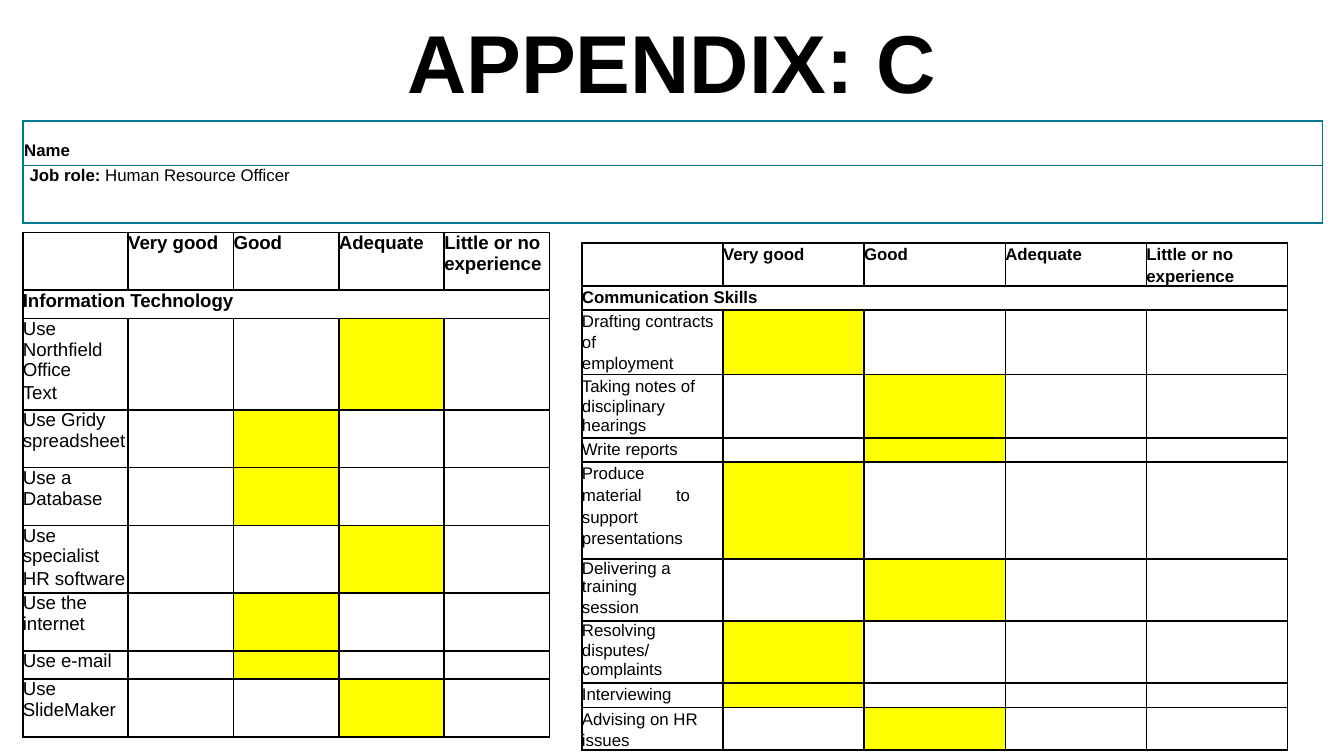
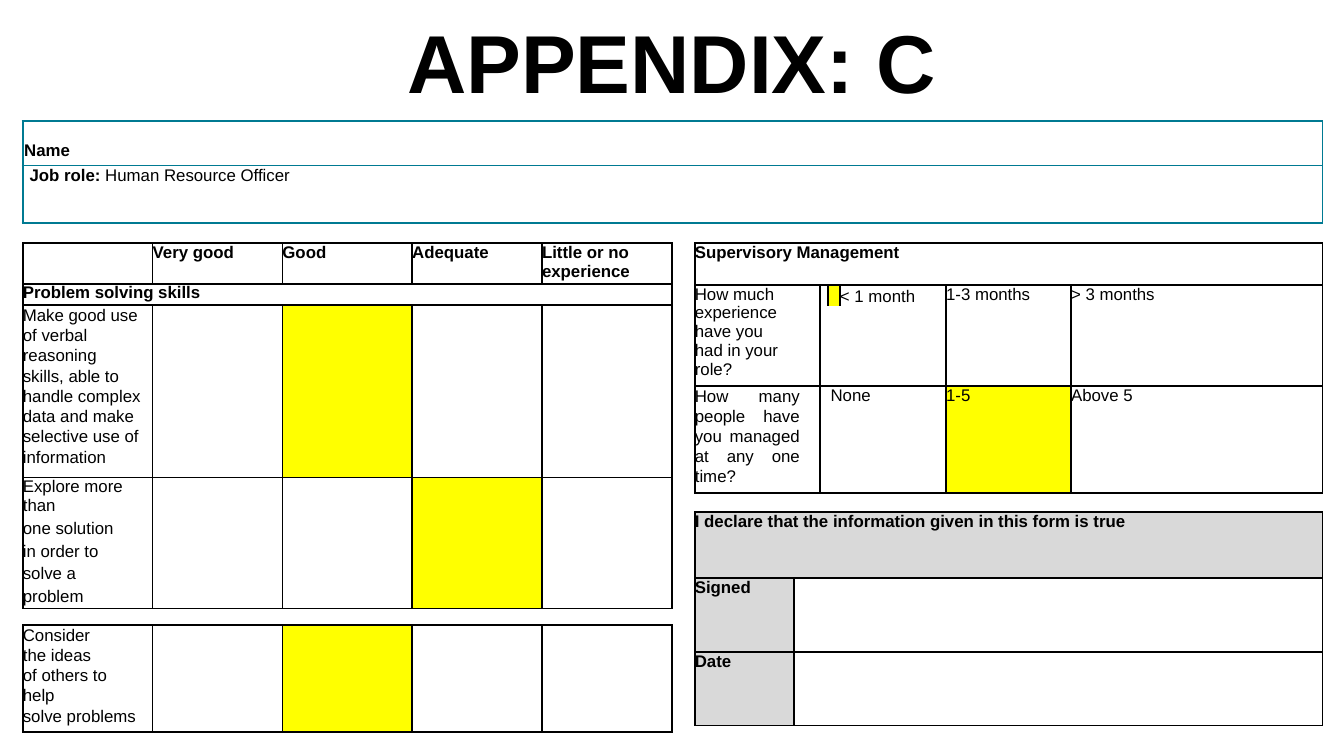
from dataclasses import dataclass

from lxml import etree
from pptx import Presentation
from pptx.dml.color import RGBColor
from pptx.enum.text import MSO_ANCHOR, PP_ALIGN
from pptx.oxml.ns import qn
from pptx.slide import Slide
from pptx.util import Inches, Length, Pt

CENTER, JUSTIFY = PP_ALIGN.CENTER, PP_ALIGN.JUSTIFY
MIDDLE = MSO_ANCHOR.MIDDLE
FONT = "Arial"
COLORS = {"ink": "000000", "teal": "007A92", "rating": "FFFF00", "label": "D9D9D9"}
NO_TABLE_STYLE = "{2D5ABB26-0587-4C30-8999-92F81FD0307C}"
RATINGS = ("Very good", "Good", "Adequate", "Little or no experience")
VERY_GOOD, GOOD, ADEQUATE = range(1, 4)
LEFT = 0.17
RIGHT_COLUMN = 5.17
RIGHT_WIDTH = 4.67
FORM_TOP = 1.81
SNUG = Pt(11.4)
TIGHT = Pt(11.3)


@dataclass(frozen=True)
class Para:
    text: str
    bold: bool = False
    regular_tail: str = ""
    line: float | Length | None = None
    before: float = 0
    align: PP_ALIGN | None = None
    indent: float = 0
    right: float = 0
    tabs: tuple[float, ...] = ()


@dataclass(frozen=True)
class Cell:
    paras: tuple[Para, ...] = ()
    fill: str = ""
    span: tuple[int, int] = (1, 1)
    sides: str = "LRTB"
    top_margin: float = 0


@dataclass(frozen=True)
class Grid:
    left: float
    top: float
    height: float
    cols: list[float]
    rows: list[float]
    cells: list[list[Cell | None]]
    size: float = 9
    line_color: str = "ink"
    left_line: float = 1


@dataclass(frozen=True)
class Skill:
    rating: int
    height: float
    label: tuple[Para, ...]


def write_run(paragraph, text: str, size: float, bold: bool) -> None:
    run = paragraph.add_run()
    run.text = text
    for name, value in {"name": FONT, "size": Pt(size), "bold": bold}.items():
        setattr(run.font, name, value)
    run.font.color.rgb = RGBColor.from_string(COLORS["ink"])


def write_paragraph(paragraph, para: Para, size: float) -> None:
    formats = {
        "alignment": para.align,
        "line_spacing": para.line,
        "space_before": Pt(para.before),
    }
    for name, value in formats.items():
        if value is not None:
            setattr(paragraph, name, value)
    properties = paragraph._p.get_or_add_pPr()
    for name, value in {"marL": para.indent, "marR": para.right}.items():
        properties.set(name, str(Inches(value)))
    if para.tabs:
        stops = etree.SubElement(properties, qn("a:tabLst"))
        for stop in para.tabs:
            etree.SubElement(stops, qn("a:tab"), pos=str(Inches(stop)), algn="l")
    write_run(paragraph, para.text, size, para.bold)
    if para.regular_tail:
        write_run(paragraph, para.regular_tail, size, False)


def draw_borders(cell, sides: str, color: str, left_line: float) -> None:
    properties = cell._tc.get_or_add_tcPr()
    for side in "LRTB":
        width = Pt(left_line if side == "L" else 1)
        line = etree.SubElement(properties, qn(f"a:ln{side}"), w=str(width))
        if side in sides:
            fill = etree.SubElement(line, qn("a:solidFill"))
            etree.SubElement(fill, qn("a:srgbClr"), val=COLORS[color])
        else:
            etree.SubElement(line, qn("a:noFill"))


def fill_cell(cell, content: Cell | None, grid: Grid) -> None:
    """Style one cell; None marks a cell covered by a merge."""
    for side in ("left", "right", "top", "bottom"):
        setattr(cell, f"margin_{side}", 0)
    content = content or Cell(sides="")
    cell.margin_top = Inches(content.top_margin)
    draw_borders(cell, content.sides, grid.line_color, grid.left_line)
    if content.fill:
        cell.fill.solid()
        cell.fill.fore_color.rgb = RGBColor.from_string(COLORS[content.fill])
    else:
        cell.fill.background()
    frame = cell.text_frame
    if not content.paras:
        etree.SubElement(frame.paragraphs[0]._p, qn("a:endParaRPr"), sz="600")
    for index, para in enumerate(content.paras):
        paragraph = frame.add_paragraph() if index else frame.paragraphs[0]
        write_paragraph(paragraph, para, grid.size)


def draw_grid(slide: Slide, grid: Grid) -> None:
    holder = slide.shapes.add_table(
        len(grid.rows), len(grid.cols), Inches(grid.left), Inches(grid.top),
        Inches(sum(grid.cols)), Inches(grid.height))
    table = holder.table
    table.first_row = table.horz_banding = False
    table._tbl.tblPr.find(qn("a:tableStyleId")).text = NO_TABLE_STYLE
    for column, width in zip(table.columns, grid.cols):
        column.width = Inches(width)
    for row, height in zip(table.rows, grid.rows):
        row.height = Inches(height)
    holder.height = Inches(grid.height)
    for r, contents in enumerate(grid.cells):
        for c, content in enumerate(contents):
            cell = table.cell(r, c)
            fill_cell(cell, content, grid)
            if content and content.span != (1, 1):
                down, across = content.span
                cell.merge(table.cell(r + down - 1, c + across - 1))


def bold_cell(text: str, line: Length | None = None, **options) -> Cell:
    return Cell((Para(text, bold=True, line=line),), **options)


def text_cell(text: str, span: tuple[int, int] = (1, 1), fill: str = "",
              sides: str = "LRTB", **options) -> Cell:
    return Cell((Para(text, **options),), fill, span, sides)


def rating_rows(skills: list[Skill]) -> list[list[Cell | None]]:
    return [[Cell(skill.label)] + [Cell(fill="rating" if skill.rating == column else "")
                                   for column in range(1, len(RATINGS) + 1)]
            for skill in skills]


def heading_rows(heading: str, line: Length | None = None) -> list[list[Cell | None]]:
    """The row of rating names and the merged row that names the skill group."""
    ratings = [Cell()] + [bold_cell(rating, line) for rating in RATINGS]
    covered = [None] * len(RATINGS)
    return [ratings, [bold_cell(heading, line, span=(1, len(RATINGS) + 1))] + covered]


def draw_skills(slide: Slide, left: float, top: float, width: float, height: float,
                skills: list[Skill], heading: str = "",
                heading_heights: tuple[float, ...] = (),
                line: Length | None = None, size: float = 9) -> None:
    count = len(RATINGS) + 1
    cells = heading_rows(heading, line) if heading else []
    draw_grid(slide, Grid(left, top, height, [width / count] * count,
                          [*heading_heights, *(skill.height for skill in skills)],
                          cells + rating_rows(skills), size))


def add_form_slide(deck) -> Slide:
    """Add a slide with the title and the name and job role panel."""
    slide = deck.slides.add_slide(deck.slide_layouts[6])
    frame = slide.shapes.add_textbox(
        Inches(0.5), Inches(-0.02), Inches(9), Inches(0.94)).text_frame
    for name, value in {"word_wrap": True, "vertical_anchor": MIDDLE}.items():
        setattr(frame, name, value)
    write_paragraph(frame.paragraphs[0], Para("APPENDIX: C", bold=True, align=CENTER), 44)
    name = Cell((Para("Name", bold=True, indent=0.01),), top_margin=0.15)
    role = Cell((Para("Job role: ", bold=True, regular_tail="Human Resource Officer",
                      line=1.06, indent=0.05),))
    draw_grid(slide, Grid(LEFT, 0.9, 0.76, [9.67], [0.33, 0.43], [[name], [role]],
                          line_color="teal", left_line=1.5))
    return slide


IT_SKILLS = [
    Skill(ADEQUATE, 0.66, (Para("Use Northfield Office"), Para("Text", before=0.8))),
    Skill(GOOD, 0.43, (Para("Use Gridy spreadsheet"),)),
    Skill(GOOD, 0.43, (Para("Use a Database"),)),
    Skill(ADEQUATE, 0.45, (Para("Use specialist"),
                           Para("HR software", line=TIGHT, before=0.9))),
    Skill(GOOD, 0.43, (Para("Use the internet"),)),
    Skill(GOOD, 0.21, (Para("Use e-mail"),)),
    Skill(ADEQUATE, 0.43, (Para("Use SlideMaker"),)),
]
COMMUNICATION_SKILLS = [
    Skill(VERY_GOOD, 0.44, (Para("Drafting contracts of", line=SNUG),
                            Para("employment", before=0.9))),
    Skill(GOOD, 0.44, (Para("Taking notes of", line=SNUG),
                       Para("disciplinary hearings", before=0.9))),
    Skill(GOOD, 0.18, (Para("Write reports", line=SNUG),)),
    Skill(VERY_GOOD, 0.72, (Para("Produce\tmaterial\tto", line=SNUG, tabs=(0.7, 1.37)),
                            Para("support presentations", line=TIGHT, before=0.9))),
    Skill(GOOD, 0.44, (Para("Delivering a training"), Para("session", before=0.8))),
    Skill(VERY_GOOD, 0.44, (Para("Resolving"), Para("disputes/complaints", before=0.8))),
    Skill(VERY_GOOD, 0.18, (Para("Interviewing", line=SNUG),)),
    Skill(GOOD, 0.28, (Para("Advising on HR issues", line=SNUG),)),
]
PROBLEM_SKILLS = [
    Skill(GOOD, 1.11, (Para("Make good use of verbal reasoning skills, able to handle complex "
                            "data and make selective use of", line=1.07, right=0.09),
                       Para("information", line=TIGHT))),
    Skill(ADEQUATE, 0.74, (Para("Explore more than"),
                           Para("one solution in order to solve a problem",
                                line=Pt(12), before=0.5, right=0.2))),
]
TEAM_SKILLS = [
    Skill(GOOD, 0.47, (Para("Consider the ideas of others to help", line=1.06, right=0.33),
                       Para("solve problems", line=TIGHT, before=0.2))),
]
SUPERVISION = [
    [bold_cell("Supervisory Management", span=(1, 6))] + [None] * 5,
    [text_cell("How much experience have you had in your role?", (2, 1), right=0.22),
     Cell(sides="LRT"), Cell(fill="rating", sides="LRT"),
     text_cell("< 1 month", sides="LRT", line=SNUG),
     text_cell("1-3 months", (2, 1)), text_cell("> 3 months", (2, 1))],
    [None, Cell(span=(1, 3), sides="LRB"), None, None, None, None],
    [text_cell("How many people have you managed at any one time?",
               align=JUSTIFY, line=1.06, right=0.15),
     text_cell("None", (1, 3), indent=0.08), None, None,
     text_cell("1-5", fill="rating"), text_cell("Above 5")],
]
DECLARATION = [
    [bold_cell("I declare that the information given in this form is true",
               fill="label", span=(1, 2)), None],
    *([bold_cell(label, fill="label"), Cell()] for label in ("Signed", "Date")),
]


def main() -> None:
    deck = Presentation()
    deck.slide_width = Inches(10)
    deck.slide_height = deck.slide_width * 9 // 16

    slide = add_form_slide(deck)
    draw_skills(slide, LEFT, 1.73, 3.92, 3.74, IT_SKILLS,
                "Information Technology", (0.43, 0.21), size=10)
    draw_skills(slide, 4.33, FORM_TOP, 5.25, 3.8, COMMUNICATION_SKILLS,
                "Communication Skills", (0.28, 0.18), SNUG)

    slide = add_form_slide(deck)
    draw_skills(slide, LEFT, FORM_TOP, 4.83, 2.86, PROBLEM_SKILLS,
                "Problem solving skills", (0.23, 0.16))
    draw_skills(slide, LEFT, 4.65, 4.83, 0.79, TEAM_SKILLS)
    draw_grid(slide, Grid(RIGHT_COLUMN, FORM_TOP, 1.83,
                          [0.93, 0.06, 0.09, 0.79, 0.93, 1.87],
                          [0.31, 0.15, 0.58, 0.49], SUPERVISION))
    draw_grid(slide, Grid(RIGHT_COLUMN, 3.81, 1.58, [0.74, RIGHT_WIDTH - 0.74],
                          [0.49, 0.55, 0.55], DECLARATION))
    deck.save("out.pptx")


if __name__ == "__main__":
    main()
